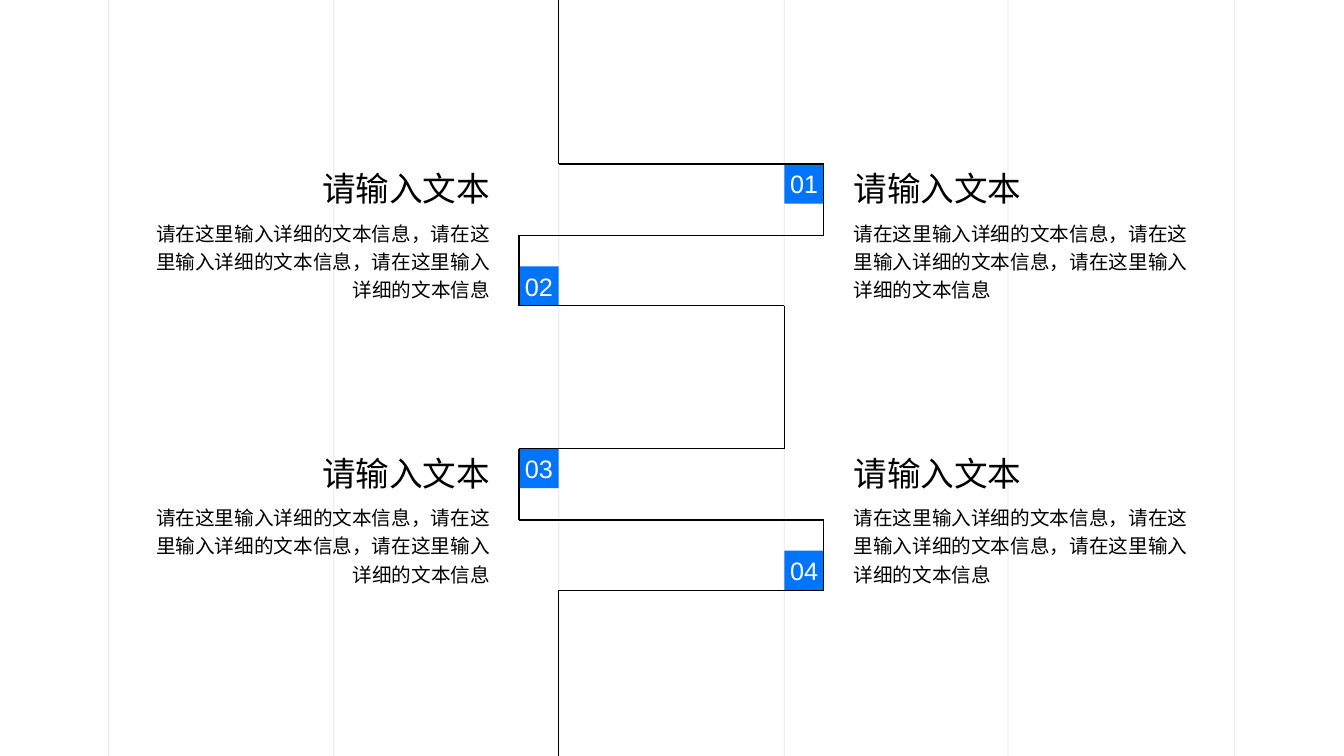
from itertools import pairwise
from lxml.etree import SubElement
from pptx import Presentation
from pptx.dml.color import RGBColor
from pptx.enum.shapes import MSO_CONNECTOR, MSO_SHAPE
from pptx.enum.text import MSO_ANCHOR, PP_ALIGN
from pptx.oxml.ns import qn
from pptx.util import Pt

# Content
HEADING = "请输入文本"
DETAIL = "请在这里输入详细的文本信息，请在这里输入详细的文本信息，请在这里输入详细的文本信息"
COLORS = {"guide": "D9D9D9", "path": "000000", "badge": "0074FA",
          "text": "000000", "number": "FFFFFF"}
LATIN, CJK = "Arial", "Noto Sans CJK SC"

# Geometry in points
WIDTH, HEIGHT = 960, 540
GUIDES = [77.8, 238.3, 399, 560.2, 720, 882]
BADGE = 28.2
INNER_LEFT, INNER_RIGHT = GUIDES[2], GUIDES[3]
OUTER_LEFT, OUTER_RIGHT = INNER_LEFT - BADGE, INNER_RIGHT + BADGE
BAND_TOPS = [117.2, 320.4]
MIDDLE, BOTTOM = 51, 101.2  # offsets inside a band
TEXT_WIDTH = 260
TEXT_COLUMNS = [(602.6, PP_ALIGN.LEFT), (97.2, PP_ALIGN.RIGHT)]

upper, lower = BAND_TOPS
BADGES = [
    ("01", INNER_RIGHT, upper),
    ("02", OUTER_LEFT, upper + BOTTOM - BADGE),
    ("03", OUTER_LEFT, lower),
    ("04", INNER_RIGHT, lower + BOTTOM - BADGE),
]
# The winding path: alternate vertical and horizontal legs
PATH_XS = [INNER_LEFT, OUTER_RIGHT, OUTER_LEFT, INNER_RIGHT,
           OUTER_LEFT, OUTER_RIGHT, INNER_LEFT]
PATH_YS = [top + offset for top in BAND_TOPS for offset in (0, MIDDLE, BOTTOM)]

prs = Presentation()
prs.slide_width, prs.slide_height = Pt(WIDTH), Pt(HEIGHT)
slide = prs.slides.add_slide(prs.slide_layouts[6])


def add_line(start, end, color, opacity=100):
    line = slide.shapes.add_connector(
        MSO_CONNECTOR.STRAIGHT, *(Pt(value) for value in (*start, *end)))
    line.line.width = Pt(1)
    line.line.color.rgb = RGBColor.from_string(color)
    properties = line._element.spPr
    if opacity < 100:
        tone = next(properties.iter(qn("a:srgbClr")))
        SubElement(tone, qn("a:alpha"), val=str(opacity * 1000))
    SubElement(properties, qn("a:effectLst"))


def write(frame, text, size, font, color, align, spacing=None):
    paragraph = frame.paragraphs[0]
    paragraph.alignment = align
    paragraph.line_spacing = spacing
    run = paragraph.add_run()
    run.text = text
    run.font.size = Pt(size)
    run.font.color.rgb = RGBColor.from_string(color)
    run.font.name = font
    SubElement(run._r.get_or_add_rPr(), qn("a:ea"), typeface=CJK)


def add_text(left, top, height, *style):
    box = slide.shapes.add_textbox(Pt(left), Pt(top), Pt(TEXT_WIDTH), Pt(height))
    box.text_frame.word_wrap = True
    write(box.text_frame, *style)


# Background guides
for x in GUIDES:
    add_line((x, 0), (x, HEIGHT), COLORS["guide"], opacity=40)

# Numbered badges
for number, left, top in BADGES:
    badge = slide.shapes.add_shape(
        MSO_SHAPE.RECTANGLE, Pt(left), Pt(top), Pt(BADGE), Pt(BADGE))
    badge.shadow.inherit = False
    badge.fill.solid()
    badge.fill.fore_color.rgb = RGBColor.from_string(COLORS["badge"])
    badge.line.fill.background()
    frame = badge.text_frame
    frame.margin_left = frame.margin_right = frame.margin_top = frame.margin_bottom = 0
    frame.word_wrap = False
    frame.vertical_anchor = MSO_ANCHOR.MIDDLE
    write(frame, number, 18, LATIN, COLORS["number"], PP_ALIGN.CENTER)

# Winding path
for x, (start, end) in zip(PATH_XS, pairwise([0, *PATH_YS, HEIGHT])):
    add_line((x, start), (x, end), COLORS["path"])
for y, (start, end) in zip(PATH_YS, pairwise(PATH_XS)):
    add_line((start, y), (end, y), COLORS["path"])

# Headings and details on both sides
for top in BAND_TOPS:
    for left, align in TEXT_COLUMNS:
        add_text(left, top - 0.6, 36, HEADING, 24, CJK, COLORS["text"], align)
        add_text(left, top + 34.2, 67, DETAIL, 14, LATIN, COLORS["text"], align, 1.2)

prs.save("out.pptx")
